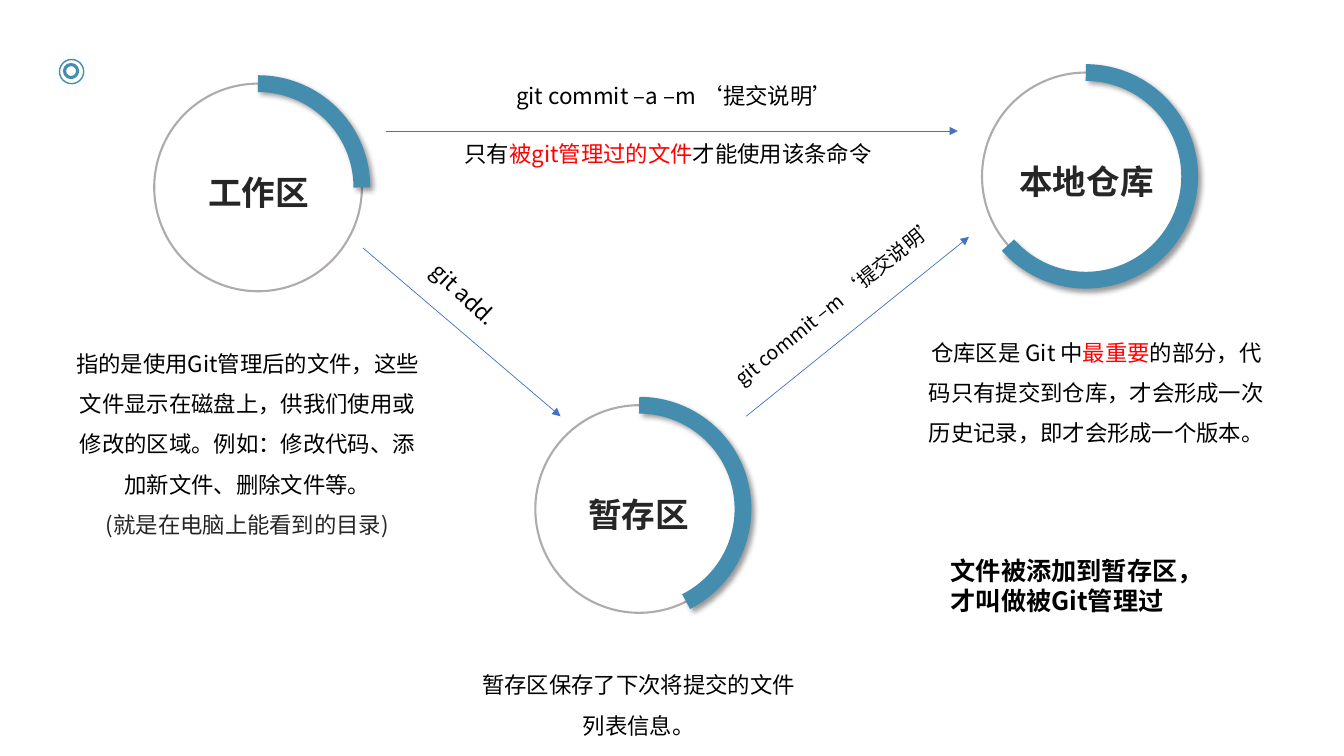
from dataclasses import dataclass

from lxml.etree import SubElement
from pptx import Presentation
from pptx.dml.color import RGBColor
from pptx.enum.shapes import MSO_CONNECTOR, MSO_SHAPE
from pptx.enum.text import MSO_AUTO_SIZE, PP_ALIGN
from pptx.oxml.ns import qn
from pptx.util import Inches, Pt


@dataclass(frozen=True)
class Theme:
    font: str = "Noto Sans CJK SC"
    teal: str = "448DAE"
    gray: str = "AFABAB"
    blue: str = "4472C4"
    dark: str = "262626"
    black: str = "000000"
    red: str = "FF0000"
    white: str = "FFFFFF"
    title: int = 24
    note: int = 18
    body: int = 16
    small: int = 14


THEME = Theme()


def rgb(color):
    return RGBColor.from_string(color)


def add_text(slide, box, paras, size=THEME.body, color=THEME.black, bold=False,
             align=PP_ALIGN.LEFT, space=1.0, turn=0):
    """Each paragraph is a string or a list of (text, color) runs."""
    shape = slide.shapes.add_textbox(*map(Inches, box))
    shape.rotation = turn
    frame = shape.text_frame
    frame.word_wrap = True
    frame.auto_size = MSO_AUTO_SIZE.SHAPE_TO_FIT_TEXT
    for i, runs in enumerate(paras):
        para = frame.add_paragraph() if i else frame.paragraphs[0]
        para.alignment = align
        para.line_spacing = space
        for text, tint in [(runs, color)] if isinstance(runs, str) else runs:
            run = para.add_run()
            run.text = text
            font = run.font
            font.size, font.bold, font.name = Pt(size), bold, THEME.font
            font.color.rgb = rgb(tint)
            props = run._r.get_or_add_rPr()
            props.set("lang", "zh-CN")
            SubElement(props, qn("a:ea"), typeface=THEME.font)


def add_outline(group, kind, box, color, width, fill=None):
    shape = group.shapes.add_shape(kind, *map(Inches, box))
    shape.shadow.inherit = False
    if fill:
        shape.fill.solid()
        shape.fill.fore_color.rgb = rgb(fill)
    else:
        shape.fill.background()
    shape.line.color.rgb = rgb(color)
    shape.line.width = Pt(width)
    return shape


def add_glow(shape):
    effect = shape._element.spPr.find(qn("a:effectLst"))
    outer = SubElement(effect, qn("a:outerShdw"), blurRad=str(Pt(4)), dist=str(Pt(3)),
                       dir="2700000", algn="tl", rotWithShape="0")
    tint = SubElement(outer, qn("a:srgbClr"), val=THEME.black)
    SubElement(tint, qn("a:alpha"), val="40000")


def add_ring(slide, left, top, end):
    """A thin gray circle with a thick arc from twelve o'clock to end."""
    group = slide.shapes.add_group_shape()
    arcs = ((THEME.gray, 1.5, 204.11, 194.3), (THEME.teal, 12, 162, end))
    for color, width, start, stop in arcs:
        arc = add_outline(group, MSO_SHAPE.ARC, (left, top, 2.06, 2.06), color, width)
        arc.adjustments[0], arc.adjustments[1] = start, stop
    add_glow(arc)


def add_arrow(slide, *ends):
    line = slide.shapes.add_connector(MSO_CONNECTOR.STRAIGHT, *map(Inches, ends))
    line.line.color.rgb = rgb(THEME.blue)
    line.line.width = Pt(0.5)
    SubElement(line.line._get_or_add_ln(), qn("a:tailEnd"), type="triangle")
    SubElement(line._element.spPr, qn("a:effectLst"))


def main():
    deck = Presentation()
    deck.slide_width, deck.slide_height = Inches(13.33), Inches(7.5)
    slide = deck.slides.add_slide(deck.slide_layouts[6])

    # Corner mark
    mark = slide.shapes.add_group_shape()
    for start, side, width in ((0.59, 0.24, 1), (0.64, 0.13, 2.25)):
        add_outline(mark, MSO_SHAPE.OVAL, (start, start, side, side),
                    THEME.teal, width, fill=THEME.white)

    # The three areas: ring and title
    areas = (
        ("工作区", 1.53, 0.83, 0, (1.96, 1.66, 1.21, 0.5)),
        ("暂存区", 5.31, 4.02, 37.85, (5.73, 4.85, 1.21, 0.5)),
        ("本地仓库", 9.74, 0.72, 83.14, (10, 1.55, 1.55, 0.5)),
    )
    for name, left, top, end, box in areas:
        add_ring(slide, left, top, end)
        add_text(slide, box, [name], size=THEME.title, color=THEME.dark, bold=True,
                 align=PP_ALIGN.CENTER)

    # What each area holds
    details = (
        ((0.64, 3.29, 3.63, 2.07), [
            "指的是使用Git管理后的文件，这些文件显示在磁盘上，供我们使用或修改的区域。"
            "例如：修改代码、添加新文件、删除文件等。",
            [("(就是在电脑上能看到的目录)", THEME.dark)]]),
        ((4.62, 6.48, 3.43, 0.86), ["暂存区保存了下次将提交的文件列表信息。"]),
        ((9.06, 3.18, 3.63, 1.27), [[
            ("仓库区是 Git 中", THEME.black), ("最重要", THEME.red),
            ("的部分，代码只有提交到仓库，才会形成一次历史记录，即才会形成一个版本。",
             THEME.black)]]),
    )
    for box, paras in details:
        add_text(slide, box, paras, align=PP_ALIGN.CENTER, space=1.5)

    # Arrows between areas
    add_arrow(slide, 3.6, 2.46, 5.56, 4.13)
    add_arrow(slide, 7.4, 4.13, 9.61, 2.35)
    add_arrow(slide, 3.83, 1.3, 9.5, 1.3)

    # Commands along the arrows
    add_text(slide, (4.1, 2.77, 1.09, 0.37), ["git add."], turn=42.7)
    add_text(slide, (6.93, 2.79, 2.81, 0.34), ["git commit –m ‘提交说明’"],
             size=THEME.small, turn=321.2)
    add_text(slide, (5.02, 0.77, 3.5, 0.37), ["git commit –a –m ‘提交说明’"])
    add_text(slide, (4.51, 1.34, 4.3, 0.37), [[
        ("只有", THEME.black), ("被git管理过的文件", THEME.red),
        ("才能使用该条命令", THEME.black)]])

    # Closing note
    add_text(slide, (9.33, 5.46, 2.59, 0.71), ["文件被添加到暂存区，才叫做被Git管理过"],
             size=THEME.note, bold=True)

    deck.save("out.pptx")


if __name__ == "__main__":
    main()
